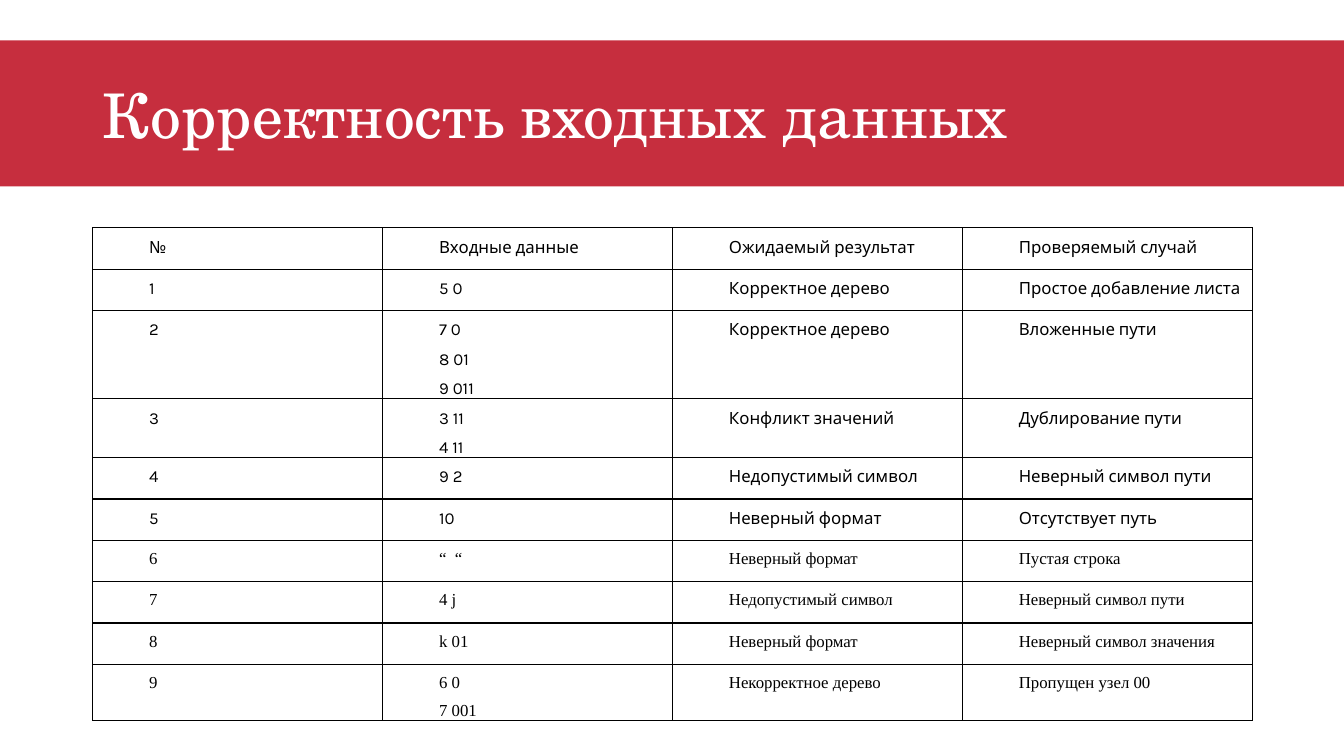
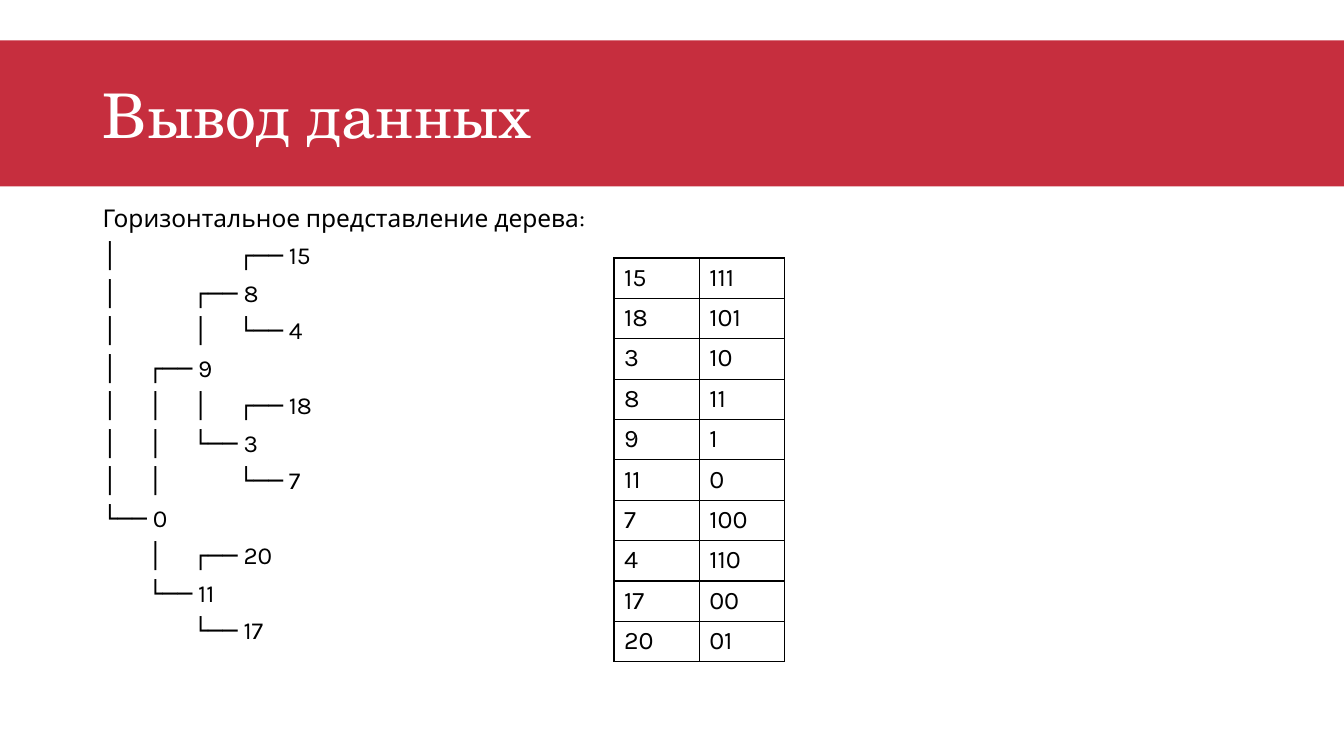
from dataclasses import dataclass

from lxml.etree import SubElement
from pptx import Presentation
from pptx.dml.color import RGBColor
from pptx.enum.shapes import MSO_SHAPE as Shape
from pptx.enum.text import MSO_ANCHOR as Anchor, MSO_AUTO_SIZE as AutoSize, PP_ALIGN as Align
from pptx.oxml import parse_xml
from pptx.oxml.ns import nsdecls, qn
from pptx.util import Inches, Pt


@dataclass(frozen=True)
class Theme:
    band: RGBColor = RGBColor(0xC6, 0x2E, 0x3E)
    light: RGBColor = RGBColor(0xFF, 0xFF, 0xFF)
    ink: RGBColor = RGBColor(0, 0, 0)
    title_font: str = "TeX Gyre Schola"
    body_font: str = "Karla"
    serif_font: str = "Times New Roman"
    title_size: float = 44
    tree_size: float = 17.5
    code_size: float = 18
    case_size: float = 12
    border: float = 1


THEME = Theme()
PAGE_WIDTH, PAGE_HEIGHT = 13.33, 7.5
LEFT, CONTENT_WIDTH = 0.92, 11.5
BAND_TOP, BAND_HEIGHT = 0.4, 1.45
TREE_STEP, TREE_DEPTH = 0.45, 3

CASES_HEADER = ("№", "Входные данные", "Ожидаемый результат", "Проверяемый случай")
CASES = [
    ("5 0", "Корректное дерево", "Простое добавление листа"),
    ("7 0\n8 01\n9 011", "Корректное дерево", "Вложенные пути"),
    ("3 11\n4 11", "Конфликт значений", "Дублирование пути"),
    ("9 2", "Недопустимый символ", "Неверный символ пути"),
    ("10", "Неверный формат", "Отсутствует путь"),
    ("“  “", "Неверный формат", "Пустая строка"),
    ("4 j", "Недопустимый символ", "Неверный символ пути"),
    ("k 01", "Неверный формат", "Неверный символ значения"),
    ("6 0\n7 001", "Некорректное дерево", "Пропущен узел 00"),
]
FIRST_SERIF_ROW = 6

TREE = """Горизонтальное представление дерева:
│\t\t\t┌── 15
│\t\t┌── 8
│\t\t│\t└── 4
│\t┌── 9
│\t│\t│\t┌── 18
│\t│\t└── 3
│\t│\t\t└── 7
└── 0
\t│\t┌── 20
\t└── 11
\t\t└── 17"""

CODES = [
    ("15", "111"), ("18", "101"), ("3", "10"), ("8", "11"), ("9", "1"),
    ("11", "0"), ("7", "100"), ("4", "110"), ("17", "00"), ("20", "01"),
]


def write_text(frame, text, *, size, font=THEME.body_font, color=THEME.ink, align=Align.LEFT,
               line_spacing=None, space_before=None, indent=0, tabs=()):
    """Fill a text frame with one paragraph for each line of text."""
    for index, line in enumerate(text.split("\n")):
        para = frame.paragraphs[0] if index == 0 else frame.add_paragraph()
        para.alignment = align
        if line_spacing is not None:
            para.line_spacing = line_spacing
        if space_before is not None:
            para.space_before = Pt(space_before)
        properties = para._p.get_or_add_pPr()
        if indent:
            properties.set("indent", str(Inches(indent)))
        if tabs:
            tab_list = SubElement(properties, qn("a:tabLst"))
            for position in tabs:
                SubElement(tab_list, qn("a:tab"), pos=str(Inches(position)), algn="l")
        span = para.add_run()
        span.text = line
        span.font.name = font
        span.font.size = Pt(size)
        span.font.color.rgb = color


def add_band(page, layout):
    """Draw the title band and hand it over to the layout, behind everything."""
    band = page.shapes.add_shape(Shape.RECTANGLE, 0, Inches(BAND_TOP),
                                 Inches(PAGE_WIDTH), Inches(BAND_HEIGHT))
    band.shadow.inherit = False
    band.fill.solid()
    band.fill.fore_color.rgb = THEME.band
    band.line.fill.background()
    layout.shapes.element.insert(2, band.element)


def add_page(deck, layout, title):
    page = deck.slides.add_slide(layout)
    box = page.shapes.title
    box.left, box.top = Inches(LEFT), Inches(BAND_TOP)
    box.width, box.height = Inches(CONTENT_WIDTH), Inches(BAND_HEIGHT)
    frame = box.text_frame
    frame.auto_size = AutoSize.NONE
    frame.vertical_anchor = Anchor.MIDDLE
    write_text(frame, title, size=THEME.title_size, font=THEME.title_font, color=THEME.light)
    return page


def add_text_box(page, text, left, top, width, height, **text_format):
    box = page.shapes.add_textbox(Inches(left), Inches(top), Inches(width), Inches(height))
    box.text_frame.word_wrap = True
    write_text(box.text_frame, text, **text_format)


def set_borders(cell):
    properties = cell._tc.get_or_add_tcPr()
    for index, side in enumerate("LRTB"):
        properties.insert(index, parse_xml(
            f'<a:ln{side} {nsdecls("a")} w="{Pt(THEME.border)}"><a:solidFill>'
            f'<a:srgbClr val="{THEME.ink}"/></a:solidFill></a:ln{side}>'))


def add_grid(page, rows, left, top, width, row_height, *, margins=(0.1, 0.05),
             row_fonts=None, **text_format):
    """Add a ruled table; margins are the side and the top and bottom ones."""
    columns = len(rows[0])
    table = page.shapes.add_table(len(rows), columns, Inches(left), Inches(top), Inches(width),
                                  Inches(row_height * len(rows))).table
    table.first_row = table.horz_banding = False
    side, edge = map(Inches, margins)
    fonts = row_fonts or [THEME.body_font] * len(rows)
    for row_index, (row, font) in enumerate(zip(rows, fonts)):
        for column_index, text in enumerate(row):
            cell = table.cell(row_index, column_index)
            cell.margin_left = cell.margin_right = side
            cell.margin_top = cell.margin_bottom = edge
            cell.fill.solid()
            cell.fill.fore_color.rgb = THEME.light
            set_borders(cell)
            write_text(cell.text_frame, text, font=font, **text_format)


def add_cases(page):
    rows = [CASES_HEADER] + [(str(number), *case) for number, case in enumerate(CASES, 1)]
    fonts = [THEME.serif_font if index >= FIRST_SERIF_ROW else THEME.body_font
             for index in range(len(rows))]
    add_grid(page, rows, LEFT, 2.26, CONTENT_WIDTH, 0.41, margins=(0.07, 0), row_fonts=fonts,
             size=THEME.case_size, align=Align.JUSTIFY, line_spacing=1.5, indent=0.49)


def add_tree(page):
    stops = [TREE_STEP * level for level in range(1, TREE_DEPTH + 1)]
    add_text_box(page, TREE, LEFT, 2.02, CONTENT_WIDTH, 4.67, size=THEME.tree_size,
                 line_spacing=0.8, space_before=10, tabs=stops)


def main():
    deck = Presentation()
    deck.slide_width, deck.slide_height = Inches(PAGE_WIDTH), Inches(PAGE_HEIGHT)
    layout = deck.slide_layouts.get_by_name("Title Only")

    input_page = add_page(deck, layout, "Корректность входных данных")
    add_band(input_page, layout)
    add_cases(input_page)

    output_page = add_page(deck, layout, "Вывод данных")
    add_tree(output_page)
    add_grid(output_page, CODES, 6.09, 2.56, 1.69, 0.39, size=THEME.code_size)

    deck.save("out.pptx")


if __name__ == "__main__":
    main()
